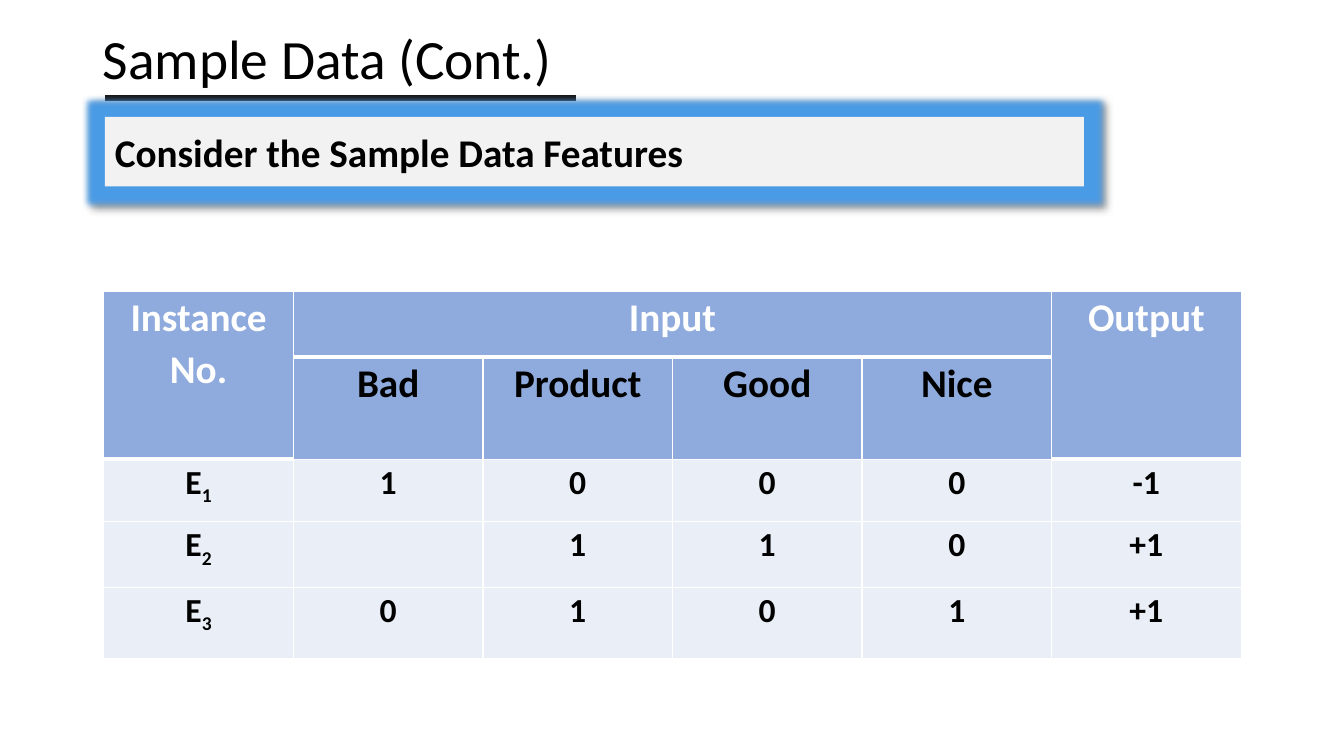
from lxml.etree import SubElement
from pptx import Presentation
from pptx.dml.color import RGBColor
from pptx.enum.shapes import MSO_CONNECTOR, MSO_SHAPE
from pptx.enum.text import MSO_ANCHOR, PP_ALIGN
from pptx.oxml.ns import qn
from pptx.util import Emu, Inches, Pt

FONT = "Calibri"
BLACK, WHITE = "000000", "FFFFFF"
HEADER_FILL, BODY_FILL = "8FAADC", "EAEFF7"
HEADER = [
    ["Instance No.", "Input", "", "", "", "Output"],
    ["", "Bad", "Product", "Good", "Nice", ""],
]
SAMPLES = [
    ["E1", "1", "0", "0", "0", "-1"],
    ["E2", "", "1", "1", "0", "+1"],
    ["E3", "0", "1", "0", "1", "+1"],
]
ROW_HEIGHTS = [0.65, 0.71, 0.62, 0.65, 0.71]


def colour(value):
    return RGBColor.from_string(value)


def add_span(para, text, size, tint, bold=False, subscript=False):
    span = para.add_run()
    span.text = text
    font = span.font
    font.name, font.size, font.bold = FONT, Pt(size), bold
    font.color.rgb = colour(tint)
    if subscript:
        span._r.get_or_add_rPr().set("baseline", "-25000")


def add_effect_colour(effect, value, alpha):
    tint = SubElement(effect, qn("a:srgbClr"), val=value)
    SubElement(tint, qn("a:alpha"), val=str(alpha * 1000))


def add_heading(page, left, top, width, height):
    title = page.shapes.title
    title.left, title.top = Inches(left), Inches(top)
    title.width, title.height = Inches(width), Inches(height)
    frame = title.text_frame
    frame.vertical_anchor = MSO_ANCHOR.MIDDLE
    para = frame.paragraphs[0]
    para.alignment = PP_ALIGN.LEFT
    para.line_spacing = 0.9
    add_span(para, "Sample Data (Cont.)", 39.6, BLACK)

    rule_left, rule_top = Inches(left + 0.12), Inches(top + 0.75)
    rule = page.shapes.add_connector(
        MSO_CONNECTOR.STRAIGHT, rule_left, rule_top, rule_left + Inches(4.67), rule_top
    )
    rule.line.color.rgb = colour("181717")
    rule.line.width = Pt(4.5)
    SubElement(rule._element.spPr, qn("a:effectLst"))


def add_banner(page, left, top, width, height):
    box = page.shapes.add_shape(
        MSO_SHAPE.RECTANGLE, Inches(left), Inches(top), Inches(width), Inches(height)
    )
    box.fill.solid()
    box.fill.fore_color.rgb = colour("F2F2F2")
    box.line.fill.background()
    box.shadow.inherit = False
    effects = box._element.spPr.find(qn("a:effectLst"))
    glow = SubElement(effects, qn("a:glow"), rad=str(Pt(8)))
    add_effect_colour(glow, "4A9BE6", 100)
    shadow = SubElement(
        effects, qn("a:outerShdw"), blurRad=str(Pt(4)), dist=str(Pt(3)), dir="2700000", algn="tl"
    )
    add_effect_colour(shadow, BLACK, 40)
    frame = box.text_frame
    frame.word_wrap = True
    frame.vertical_anchor = MSO_ANCHOR.MIDDLE
    para = frame.paragraphs[0]
    para.alignment = PP_ALIGN.LEFT
    add_span(para, "Consider the Sample Data Features", 28, BLACK, bold=True)


def add_borders(cell, bottom):
    properties = cell._tc.get_or_add_tcPr()
    for side, width in (("L", 1), ("R", 1), ("T", 1), ("B", bottom)):
        line = SubElement(properties, qn(f"a:ln{side}"), w=str(Pt(width)))
        fill = SubElement(line, qn("a:solidFill"))
        SubElement(fill, qn("a:srgbClr"), val=WHITE)


def fill_cell(cell, text, row, column):
    in_header = row < len(HEADER)
    outer_header = row == 0 or (in_header and column in (0, 5))
    add_borders(cell, 3 if outer_header else 1)
    cell.fill.solid()
    cell.fill.fore_color.rgb = colour(HEADER_FILL if in_header else BODY_FILL)
    cell.margin_left = cell.margin_right = Inches(0.07)
    cell.margin_top = cell.margin_bottom = Inches(0)
    if not text:
        return
    para = cell.text_frame.paragraphs[0]
    para.alignment = PP_ALIGN.CENTER
    para.line_spacing = 1.07
    size = 28 if in_header else 24
    tint = WHITE if outer_header else BLACK
    if not in_header and column == 0:
        add_span(para, text[0], size, tint, bold=True)
        add_span(para, text[1:], size, tint, bold=True, subscript=True)
    else:
        add_span(para, text, size, tint, bold=True)


def add_sample_table(page, left, top, width, height):
    rows = HEADER + SAMPLES
    columns = len(rows[0])
    table = page.shapes.add_table(
        len(rows), columns, Inches(left), Inches(top), Inches(width), Inches(height)
    ).table
    for column in table.columns:
        column.width = Emu(Inches(width) // columns)
    for row, row_height in zip(table.rows, ROW_HEIGHTS):
        row.height = Inches(row_height)
    for row, texts in enumerate(rows):
        for column, text in enumerate(texts):
            fill_cell(table.cell(row, column), text, row, column)
    for first, last in (((0, 0), (1, 0)), ((0, 1), (0, 4)), ((0, 5), (1, 5))):
        table.cell(*first).merge(table.cell(*last))


def main():
    deck = Presentation()
    deck.slide_width, deck.slide_height = Inches(13.33), Inches(7.5)
    page = deck.slides.add_slide(deck.slide_layouts[5])
    add_heading(page, 0.92, 0.22, 5.79, 0.79)
    add_banner(page, 1.04, 1.16, 9.71, 0.69)
    add_sample_table(page, 1.03, 2.89, 11.28, sum(ROW_HEIGHTS))
    deck.save("out.pptx")


if __name__ == "__main__":
    main()
